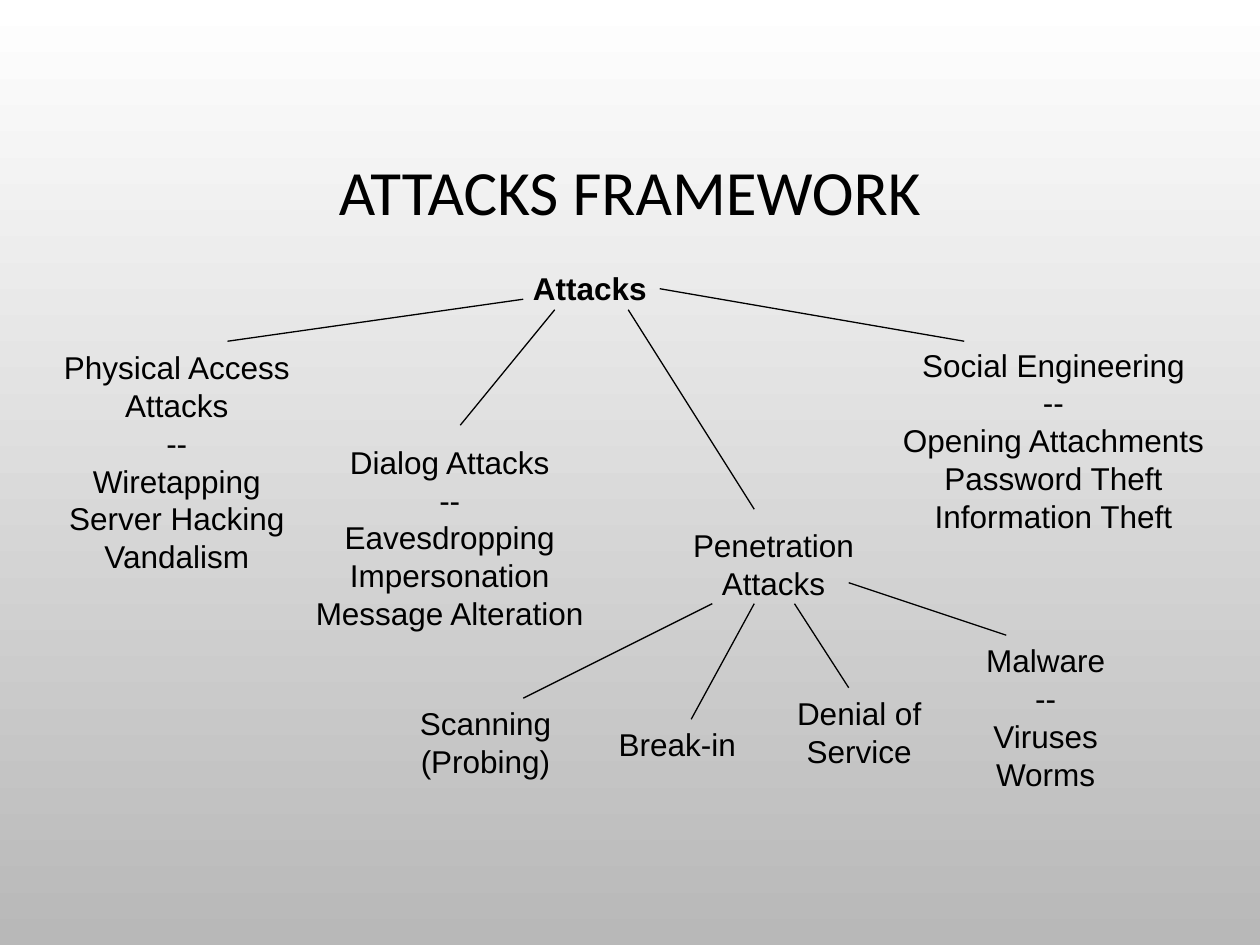
from lxml import etree
from pptx import Presentation
from pptx.dml.color import RGBColor
from pptx.enum import shapes, text
from pptx.oxml.ns import qn
from pptx.util import Pt

BLACK = "000000"
LINE_HEIGHT, VERTICAL_INSETS = 21.6, 7.2

# Labels: left, top, width, lines. Branches: x and y of both ends.
# All are measured from the corner of the tree's box.
ATTACK_LABELS = [
    (0, 45.5, 146, ["Physical Access", "Attacks", "--",
                    "Wiretapping", "Server Hacking", "Vandalism"]),
    (144, 99.5, 170, ["Dialog Attacks", "--", "Eavesdropping",
                      "Impersonation", "Message Alteration"]),
    (480, 44, 188, ["Social Engineering", "--", "Opening Attachments",
                    "Password Theft", "Information Theft"]),
]
ATTACK_BRANCHES = [
    (271, 21, 102, 45), (289, 27, 235, 93),
    (349, 15, 523, 45), (331, 27, 403, 141),
]
PENETRATION_LABELS = [
    (155, 0, 110, ["Penetration", "Attacks"]),
    (0, 102, 91, ["Scanning", "(Probing)"]),
    (113, 114, 84, ["Break-in"]),
    (215, 96, 88, ["Denial of", "Service"]),
    (323, 66, 85, ["Malware", "--", "Viruses", "Worms"]),
]
PENETRATION_BRANCHES = [
    (253, 36, 343, 66), (222, 48, 253, 96),
    (199, 48, 163, 114), (175, 48, 67, 102),
]


def color(hex_value):
    return RGBColor.from_string(hex_value)


def style(paragraph, font_name, size, bold=False):
    paragraph.alignment = text.PP_ALIGN.CENTER
    font = paragraph.font
    font.name, font.size, font.bold = font_name, Pt(size), bold
    font.color.rgb = color(BLACK)


def paint_background(slide):
    fill = slide.background.fill
    fill.gradient()
    fill.gradient_angle = 270
    for stop, position, shade in zip(fill.gradient_stops, (0, 1), ("FFFFFF", "B8B8B8")):
        stop.position = position
        stop.color.rgb = color(shade)


def add_title(slide, left, top, width, height, wording):
    frame = slide.shapes.add_textbox(Pt(left), Pt(top), Pt(width), Pt(height)).text_frame
    frame.word_wrap = True
    frame.vertical_anchor = text.MSO_ANCHOR.MIDDLE
    heading = frame.paragraphs[0]
    heading.text = wording
    heading.line_spacing = 0.9
    style(heading, "Calibri", 36)


def add_label(slide, left, top, width, lines, bold=False):
    height = LINE_HEIGHT * len(lines) + VERTICAL_INSETS
    frame = slide.shapes.add_textbox(Pt(left), Pt(top), Pt(width), Pt(height)).text_frame
    frame.word_wrap = False
    frame.auto_size = text.MSO_AUTO_SIZE.SHAPE_TO_FIT_TEXT
    frame.text = "\n".join(lines)
    for paragraph in frame.paragraphs:
        style(paragraph, "Arial", 18, bold)


def add_branch(slide, x1, y1, x2, y2):
    branch = slide.shapes.add_connector(
        shapes.MSO_CONNECTOR.STRAIGHT, Pt(x1), Pt(y1), Pt(x2), Pt(y2))
    branch.line.color.rgb = color(BLACK)
    branch.line.width = Pt(0.75)
    etree.SubElement(branch._element.spPr, qn("a:effectLst"))


def add_tree(slide, left, top, labels, branches):
    for x, y, width, lines in labels:
        add_label(slide, left + x, top + y, width, lines)
    for x1, y1, x2, y2 in branches:
        add_branch(slide, left + x1, top + y1, left + x2, top + y2)


def main():
    deck = Presentation()
    deck.slide_width, deck.slide_height = Pt(720), Pt(540)
    slide = deck.slides.add_slide(deck.slide_layouts[6])
    paint_background(slide)
    add_title(slide, 54, 49, 612, 125, "ATTACKS FRAMEWORK")
    add_label(slide, 296, 150, 82, ["Attacks"], bold=True)
    add_tree(slide, 28, 150, ATTACK_LABELS, ATTACK_BRANCHES)
    add_tree(slide, 232, 297, PENETRATION_LABELS, PENETRATION_BRANCHES)
    deck.save("out.pptx")


if __name__ == "__main__":
    main()
